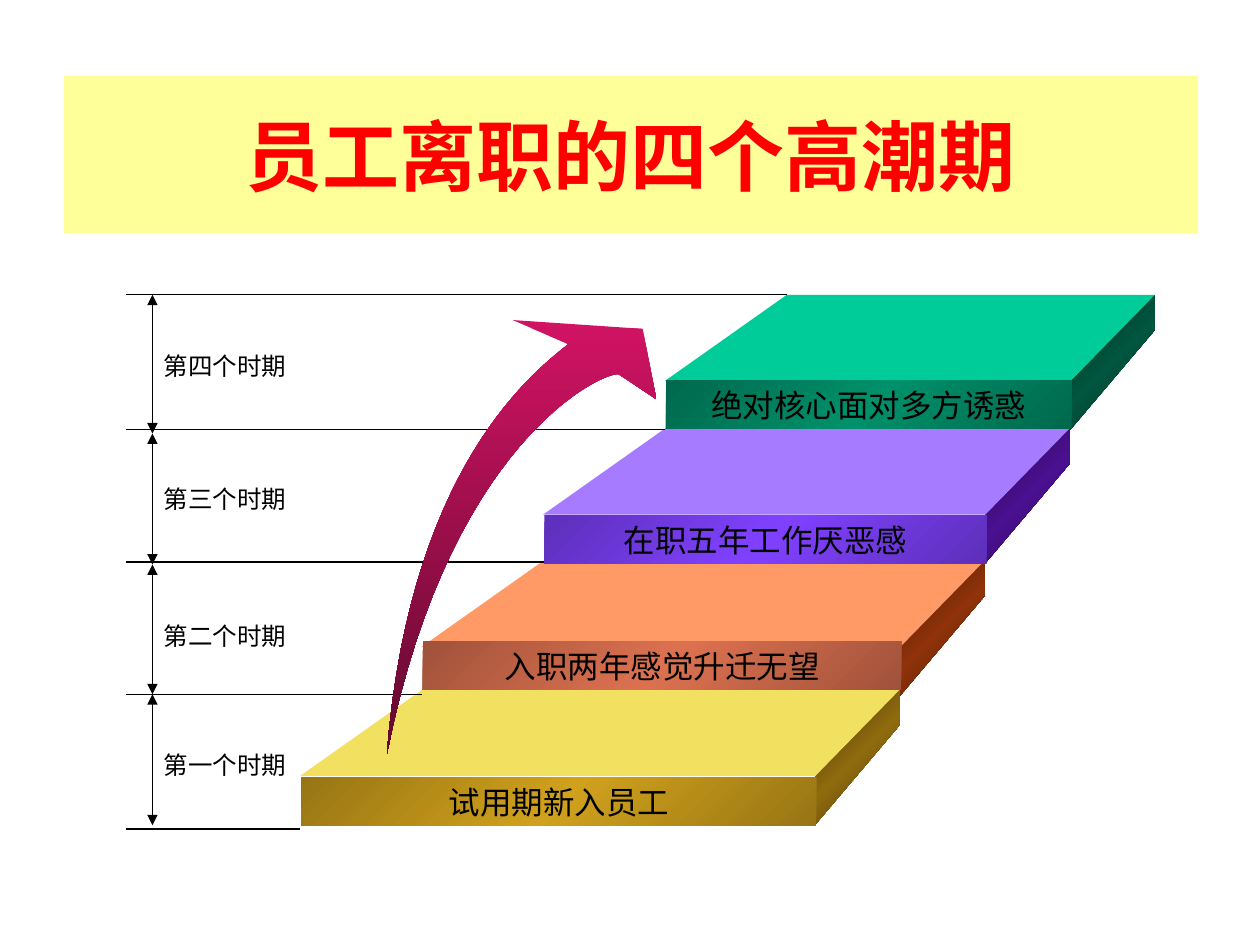
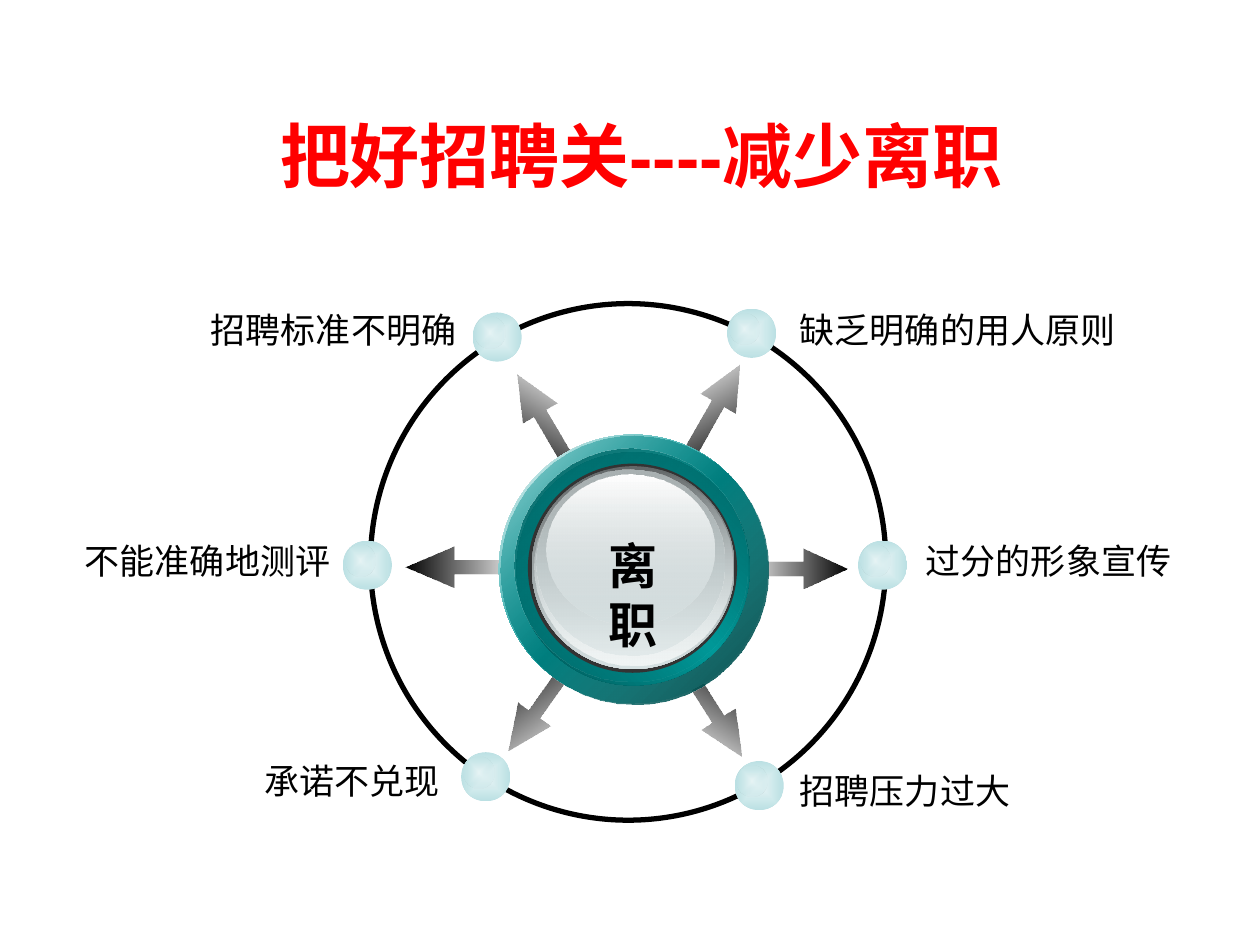
from dataclasses import dataclass
from pptx import Presentation
from pptx.dml.color import RGBColor as Rgb
from pptx.enum.shapes import MSO_CONNECTOR as Link, MSO_SHAPE as Kind
from pptx.enum.text import MSO_ANCHOR as Anchor, PP_ALIGN as Align
from pptx.oxml import parse_xml
from pptx.oxml.ns import nsdecls, qn
from pptx.util import Inches, Pt

COLS, ROWS = 100, 75


@dataclass(frozen=True)
class Theme:
    """Colours, fonts and type sizes of the deck."""
    head: str = "Arial"
    body: str = "DejaVu Sans"
    red: str = "FF0000"
    black: str = "000000"
    band: str = "FFFF99"
    rim: str = "333333"
    white: str = "FFFFFF"
    teal: str = "009999"
    mist: str = "D6E1E2"
    pale: str = "E8F5F6"
    tint: str = "BBE0E3"
    swoosh: tuple = ("D11364", "61092E")
    title: int = 44
    small: int = 40
    hub: int = 28
    item: int = 20
    step: int = 18
    label: int = 14
    hair: float = 0.75
    ring: float = 3
    tops: tuple = ("00CC99", "A77BFF", "FF9966", "F2E160")
    sides: tuple = (("00281D", "00563F"), ("230744", "4B1092"),
                    ("431805", "90330A"), ("433206", "906B0E"))
    fronts: tuple = (("00684D", "00906A"), ("5D2FB9", "8041FF"),
                     ("A0523A", "DC7150"), ("977514", "D0A11C"))


@dataclass(frozen=True)
class Grad:
    """A gradient whose stops are colours or pairs of colour and opacity."""
    stops: tuple
    turn: float = 0
    box: bool = False

    def node(self):
        """Return the gradient as an XML element."""
        last = len(self.stops) - 1
        marks = ""
        for i, stop in enumerate(self.stops):
            hue, show = (stop, 100) if isinstance(stop, str) else stop
            marks += (f'<a:gs pos="{100000 * i // last}"><a:srgbClr val="{hue}">'
                      f'<a:alpha val="{show * 1000}"/></a:srgbClr></a:gs>')
        run = f'<a:lin ang="{round(self.turn * 60000)}" scaled="1"/>'
        if self.box:
            run = ('<a:path path="rect"><a:fillToRect l="50000" t="50000" '
                   'r="50000" b="50000"/></a:path>')
        return parse_xml(f'<a:gradFill {nsdecls("a")} rotWithShape="0">'
                         f'<a:gsLst>{marks}</a:gsLst>{run}</a:gradFill>')


def sheen(pair, turn=45):
    """Return a gradient from edge to middle colour and back."""
    return Grad((pair[0], pair[1], pair[0]), turn)


def curve(a, b, c, d, count=30):
    """Return points along a cubic curve."""
    return [tuple((1 - t) ** 3 * p + 3 * (1 - t) ** 2 * t * q
                  + 3 * (1 - t) * t ** 2 * r + t ** 3 * s
                  for p, q, r, s in zip(a, b, c, d))
            for t in (i / count for i in range(count + 1))]


class Deck:
    """Holds the style and the current slide."""

    def __init__(self, theme):
        """Open an empty deck."""
        self.look = theme
        self.file = Presentation()
        self.file.slide_width, self.file.slide_height = Inches(10), Inches(7.5)
        self.col = self.file.slide_width / COLS
        self.row = self.file.slide_height / ROWS

    def page(self):
        """Start a blank slide."""
        self.pool = self.file.slides.add_slide(self.file.slide_layouts[6]).shapes

    def spot(self, x, y):
        """Turn grid columns and rows into lengths."""
        return round(x * self.col), round(y * self.row)

    def paint(self, shape, fill, line=None):
        """Set fill and line and drop the shadow."""
        shape.shadow.inherit = False
        if fill is None:
            shape.fill.background()
        else:
            shape.fill.solid()
            if isinstance(fill, Grad):
                props = shape.element.spPr
                props.replace(props.find(qn("a:solidFill")), fill.node())
            else:
                shape.fill.fore_color.rgb = Rgb.from_string(fill)
        if line:
            shape.line.width = Pt(line)
            shape.line.color.rgb = Rgb.from_string(self.look.black)
        else:
            shape.line.fill.background()
        return shape

    def shape(self, kind, x, y, w, h, fill=None, line=None):
        """Add a preset shape."""
        item = self.pool.add_shape(kind, *self.spot(x, y), *self.spot(w, h))
        return self.paint(item, fill, line)

    def disc(self, x, y, w, h, fill=None, line=None):
        """Add an ellipse."""
        return self.shape(Kind.OVAL, x, y, w, h, fill, line)

    def poly(self, dots, fill):
        """Add a closed outline."""
        first, *rest = [self.spot(*dot) for dot in dots]
        pen = self.pool.build_freeform(*first, scale=1.0)
        pen.add_line_segments(rest, close=True)
        return self.paint(pen.convert_to_shape(), fill)

    def line(self, x, y, right, low, heads=False):
        """Add a thin line, with arrowheads on both ends if asked."""
        item = self.pool.add_connector(
            Link.STRAIGHT, *self.spot(x, y), *self.spot(right, low))
        item.line.width = Pt(self.look.hair)
        item.line.color.rgb = Rgb.from_string(self.look.black)
        props = item.element.spPr
        if heads:
            for end in ("headEnd", "tailEnd"):
                props.find(qn("a:ln")).append(parse_xml(
                    f'<a:{end} {nsdecls("a")} type="triangle"/>'))
        props.append(parse_xml(f'<a:effectLst {nsdecls("a")}/>'))

    def letter(self, shape, words, size, font, hue=None, bold=False,
               align=Align.CENTER, anchor=Anchor.MIDDLE, wrap=True):
        """Put one run of text in a shape."""
        frame = shape.text_frame
        frame.word_wrap, frame.vertical_anchor = wrap, anchor
        para = frame.paragraphs[0]
        para.alignment = align
        run = para.add_run()
        run.text = words
        run.font.size, run.font.name, run.font.bold = Pt(size), font, bold
        run.font.color.rgb = Rgb.from_string(hue or self.look.black)

    def text(self, x, y, w, h, words, size, font, **style):
        """Add a text box."""
        box = self.pool.add_textbox(*self.spot(x, y), *self.spot(w, h))
        self.letter(box, words, size, font, **{"anchor": Anchor.TOP, **style})

    def title(self, x, words, size, fill=None):
        """Add the slide title on its band."""
        band = self.shape(Kind.RECTANGLE, x, 6, 90, 12.5, fill)
        self.letter(band, words, size, self.look.head, self.look.red, True)

    def arrow(self, x, y, w, turn):
        """Add a block arrow that fades along its length."""
        fade = Grad(((self.look.black, 0), self.look.black), -turn % 360)
        item = self.shape(Kind.RIGHT_ARROW, x, y, w, 3.2, fade)
        item.adjustments[0], item.adjustments[1] = 0.35, 1.11 * w / 8.7
        item.rotation = turn

    def bead(self, x, y):
        """Add a pale bead with a glint."""
        pale, tint = self.look.pale, self.look.tint
        self.disc(x, y, 3.9, 3.9, Grad((pale, tint), box=True))
        self.disc(x + 0.2, y + 0.35, 2.4, 2.5, Grad((pale, (tint, 0)), box=True))


def stairs(deck):
    """Build the slide of the four peak periods."""
    look = deck.look
    deck.page()
    deck.title(5.1, "员工离职的四个高潮期", look.title, look.band)
    steps = (("绝对核心面对多方诱惑", 23.4, 30.2),
             ("在职五年工作厌恶感", 34, 40.9),
             ("入职两年感觉升迁无望", 44.5, 50.9),
             ("试用期新入员工", 54.75, 61.7))
    lefts = [52.75 - 9.65 * i for i in range(4)]
    rights = [91.65 - 6.75 * i for i in range(4)]
    deep, skew, run = 6.85, 6.7, 9.7
    for i, (_, top, _) in enumerate(steps):
        left, right = lefts[i], rights[i]
        near = right - skew
        deck.poly([(right, top + 2.8), (near, top + 10.7),
                   (near, top + 6.9), (right, top)], sheen(look.sides[i]))
        deck.poly([(near, top + deep), (left, top + deep),
                   (left + run, top), (right, top)], look.tops[i])
    for i, y in enumerate((23.4, 34.1, 44.6, 55.1, 65.8)):
        deck.line(62.45 - 9.65 * i, y, 10, y)
    marks = (23.4, 34.4, 44.8, 55.1, 65.5)
    for high, low in zip(marks, marks[1:]):
        deck.line(12.1, high, 12.1, low, True)
    tail = (30.7, 59.9)
    outer = curve(tail, (32.5, 37), (42.4, 29.5), (45.1, 27.3))
    inner = curve((49.1, 29.7), (47.8, 29.5), (35.6, 35.1), tail)
    deck.poly(outer + [(40.7, 25.4), (51, 26.1), (52.1, 31.7)] + inner[:-1],
              Grad(look.swoosh, 90))
    for i, (words, _, y) in enumerate(steps):
        front = deck.shape(Kind.RECTANGLE, lefts[i] + 0.1, y,
                           rights[i] - skew - lefts[i], 3.85,
                           sheen(look.fronts[i]))
        deck.letter(front, words, look.step, look.body, wrap=False)
    for order, y in zip("四三二一", (27.4, 37.9, 48.8, 59)):
        deck.text(12, y, 13.9, 3.4, f"第{order}个时期", look.label, look.body,
                  align=Align.LEFT)


def wheel(deck):
    """Build the slide of the causes around the hub."""
    look = deck.look
    deck.page()
    deck.title(5.9, "把好招聘关----减少离职", look.small)
    for x, y, w, turn in ((52.2, 31.1, 8.7, 299.6), (52.2, 54.8, 8.7, 57.8),
                          (38.9, 31.9, 8.7, 239.5), (38.5, 54.4, 8.7, 125.6),
                          (58.6, 43.5, 8.7, 0), (32.2, 43.4, 9.4, 180)):
        deck.arrow(x, y, w, turn)
    deck.disc(29.4, 24.1, 40.9, 41, line=look.ring)
    left, right = Align.LEFT, Align.RIGHT
    causes = (("招聘标准不明确", 37.5, 24.8, 9.2, 24, 28, right),
              ("不能准确地测评", 27.2, 42.9, 4.2, 42.3, 23, right),
              ("承诺不兑现", 36.6, 59.7, 15.8, 59.8, 20.1, right),
              ("缺乏明确的用人原则", 57.7, 24.5, 62.5, 24, 30, left),
              ("过分的形象宣传", 68.1, 42.9, 72.5, 42.3, 23.3, left),
              ("招聘压力过大", 58.3, 60.4, 62.5, 60.6, 31.7, left))
    for _, x, y, *_ in causes:
        deck.bead(x, y)
    teal, mist, white = look.teal, look.mist, look.white
    for x, y, w, h, fill in (
            (39.6, 34.5, 21.3, 21.3, sheen((white, teal))),
            (39.7, 34.6, 21.3, 21.3, Grad(((teal, 32), "004747"), 45)),
            (41, 35.9, 18.5, 18.5, sheen(("005353", teal), 315)),
            (40.8, 35.6, 18.5, 18.5, Grad(("006161", (teal, 0)), 45)),
            (41.9, 36.8, 16.6, 16.6, look.rim),
            (42.2, 37, 16.1, 16.1, Grad(("636869", mist), 90)),
            (42.4, 37.1, 15.7, 15.7, Grad(((mist, 0), "F1F5F5"), 90)),
            (42.6, 37.3, 14.9, 14.7, Grad(("AAB2B3", (mist, 48)), 90)),
            (43.4, 37.7, 13.3, 11.9, Grad((white, (mist, 38)), 90))):
        deck.disc(x, y, w, h, fill)
    deck.text(45.4, 42, 9.7, 5.7, "离职", look.hub, look.head,
              bold=True, wrap=False)
    for words, _, _, x, y, w, align in causes:
        deck.text(x, y, w, 4.4, words, look.item, look.head, align=align)


def main():
    """Build and save the deck."""
    deck = Deck(Theme())
    stairs(deck)
    wheel(deck)
    deck.file.save("out.pptx")


if __name__ == "__main__":
    main()
